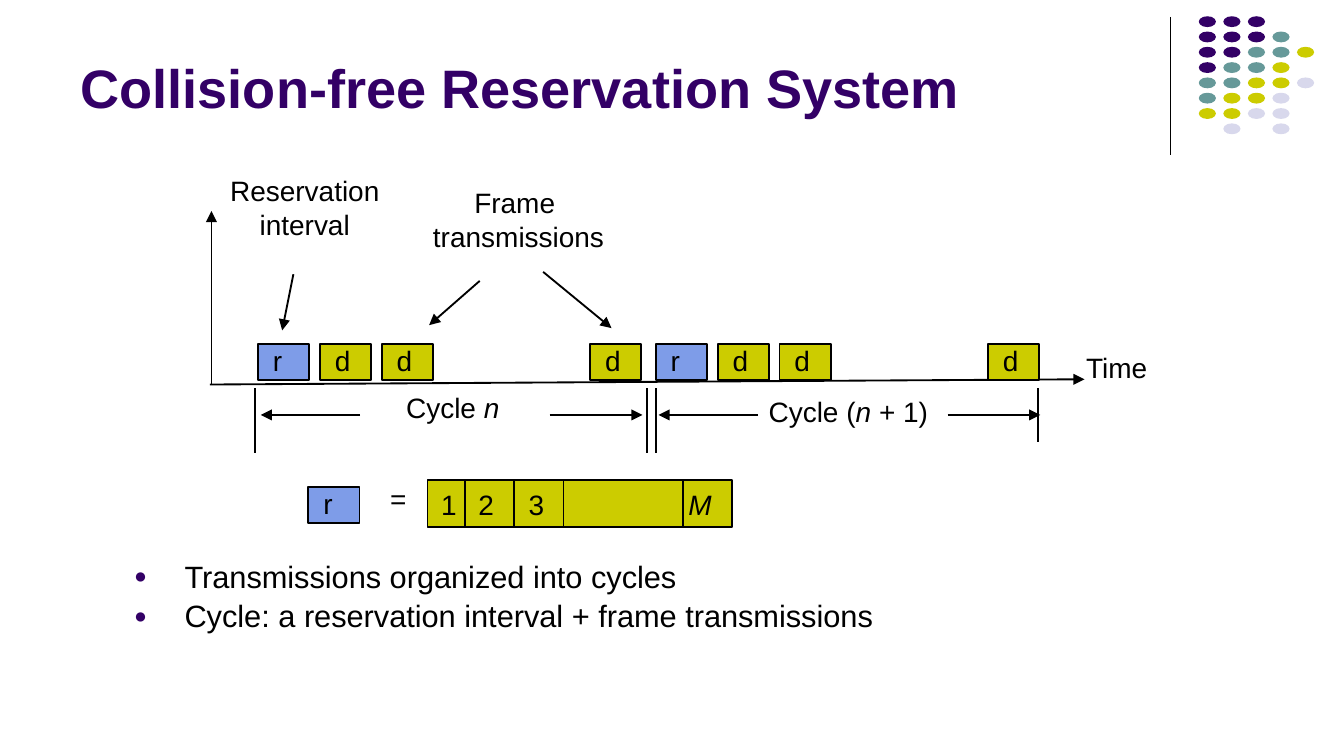
from lxml.etree import SubElement
from pptx import Presentation
from pptx.dml.color import RGBColor
from pptx.enum.shapes import MSO_CONNECTOR, MSO_SHAPE
from pptx.enum.text import MSO_ANCHOR, PP_ALIGN
from pptx.oxml.ns import qn
from pptx.util import Pt

COLORS = {
    "purple": "330066",
    "teal": "669999",
    "olive": "CCCC00",
    "lavender": "D8D8EC",
    "blue": "7E9CE8",
    "black": "000000",
}
RGB = {name: RGBColor.from_string(value) for name, value in COLORS.items()}


def write(tf, text, size=15, color="black", bold=False, align=PP_ALIGN.LEFT,
          anchor=MSO_ANCHOR.TOP, margins=(5, 3, 5, 3), wrap=False, bullet=False):
    tf.word_wrap = wrap
    tf.vertical_anchor = anchor
    tf.margin_left, tf.margin_top, tf.margin_right, tf.margin_bottom = map(Pt, margins)
    for i, row in enumerate(text.split("\n")):
        p = tf.add_paragraph() if i else tf.paragraphs[0]
        p.alignment = align
        if bullet:
            pPr = p._p.get_or_add_pPr()
            pPr.set("marL", str(Pt(27)))
            pPr.set("indent", str(-Pt(27)))
            clr = SubElement(pPr, qn("a:buClr"))
            SubElement(clr, qn("a:srgbClr"), val=COLORS["purple"])
            SubElement(pPr, qn("a:buSzPct"), val="70000")
            SubElement(pPr, qn("a:buFont"), typeface="Arial")
            SubElement(pPr, qn("a:buChar"), char="●")
            p.line_spacing = 0.9
            if i:
                p.space_before = Pt(3.3)
        for j, part in enumerate(row.split("*")):
            if part:
                r = p.add_run()
                r.text = part
                r.font.name = "Arial"
                r.font.size = Pt(size)
                r.font.bold = bold
                r.font.italic = j % 2 == 1
                r.font.color.rgb = RGB[color]


def draw_line(x1, y1, x2, y2, arrow=False, width=1):
    c = s.shapes.add_connector(MSO_CONNECTOR.STRAIGHT, Pt(x1), Pt(y1), Pt(x2), Pt(y2))
    c.line.color.rgb = RGB["black"]
    c.line.width = Pt(width)
    if arrow:
        SubElement(c.line._get_or_add_ln(), qn("a:tailEnd"), type="triangle")
    SubElement(c._element.spPr, qn("a:effectLst"))


prs = Presentation()
prs.slide_width, prs.slide_height = Pt(720), Pt(405)
s = prs.slides.add_slide(prs.slide_layouts[5])

title = s.shapes.title
title.left, title.top, title.width, title.height = Pt(36), Pt(7.2), Pt(594), Pt(60.5)
write(title.text_frame, "Collision-free Reservation System", size=29, color="purple",
      bold=True, anchor=MSO_ANCHOR.BOTTOM, margins=(7.2, 3.6, 7.2, 3.6), wrap=True)

draw_line(627, 9, 627, 83, width=0.75)
dot_colors = {"P": "purple", "T": "teal", "O": "olive", "L": "lavender"}
dot_rows = ["PPP", "PPPT", "PPTTO", "PTTO", "TTOOL", "TOOL", "OOLL", " L L"]
for i, row in enumerate(dot_rows):
    for j, key in enumerate(row):
        if key in dot_colors:
            dot = s.shapes.add_shape(MSO_SHAPE.OVAL, Pt(642.2 + 13.15 * j),
                                     Pt(8.7 + 8.2 * i), Pt(9.2), Pt(5.8))
            dot.shadow.inherit = False
            dot.fill.solid()
            dot.fill.fore_color.rgb = RGB[dot_colors[key]]
            dot.line.fill.background()

draw_line(112.5, 206, 581, 203.2, arrow=True)
draw_line(113.3, 206.3, 113.3, 113, arrow=True)

blocks = [(165.2, 260.7, "r")]
for start in (138.2, 351.3):
    for dx, label in ((0, "r"), (33.2, "d"), (66.3, "d"), (178, "d")):
        blocks.append((start + dx, 184.3, label))
    draw_line(start + 156.3, 222.3, start + 206, 222.3, arrow=True)
    draw_line(start + 54.8, 222.3, start + 1.5, 222.3, arrow=True)
for x, y, label in blocks:
    block = s.shapes.add_shape(MSO_SHAPE.RECTANGLE, Pt(x), Pt(y), Pt(27.4), Pt(19.4))
    block.shadow.inherit = False
    block.fill.solid()
    block.fill.fore_color.rgb = RGB["blue" if label == "r" else "olive"]
    block.line.color.rgb = RGB["black"]
    block.line.width = Pt(1)
    write(block.text_frame, label, margins=(8, 0, 0, 0), wrap=True)

for x, bottom in ((136.8, 242.8), (346.5, 242.8), (351.6, 242.8), (556, 237)):
    draw_line(x, 208, x, bottom)

draw_line(157.2, 146.9, 151.2, 177, arrow=True)
draw_line(257, 150.5, 229.9, 174.2, arrow=True)
draw_line(291, 145.7, 327.6, 175.8, arrow=True)

bar = s.shapes.add_shape(MSO_SHAPE.RECTANGLE, Pt(229), Pt(257.3), Pt(163.4), Pt(25.2))
bar.shadow.inherit = False
bar.fill.solid()
bar.fill.fore_color.rgb = RGB["olive"]
bar.line.color.rgb = RGB["black"]
bar.line.width = Pt(1)
for x in (249.3, 275.6, 301.9, 365.7):
    draw_line(x, 257.5, x, 282.5)

labels = [
    ("Time", 576.9, 184.5, 43.8, PP_ALIGN.LEFT),
    ("Cycle *n", 212.6, 206.2, 61, PP_ALIGN.LEFT),
    ("Cycle (*n *+ 1)", 406.8, 208.3, 97, PP_ALIGN.LEFT),
    ("Reservation\ninterval", 117.3, 90, 92, PP_ALIGN.CENTER),
    ("Frame \ntransmissions", 226, 96.5, 103.6, PP_ALIGN.CENTER),
    ("=", 204, 255, 19.4, PP_ALIGN.LEFT),
    ("1", 231.3, 258, 19.4, PP_ALIGN.LEFT),
    ("2", 251.3, 258, 19.4, PP_ALIGN.LEFT),
    ("3", 278.2, 258, 19.4, PP_ALIGN.LEFT),
    ("*M*", 363.8, 258, 23.6, PP_ALIGN.LEFT),
]
for text, x, y, width, align in labels:
    height = 41.8 if "\n" in text else 23.5
    tb = s.shapes.add_textbox(Pt(x), Pt(y), Pt(width), Pt(height))
    write(tb.text_frame, text, align=align)

tb = s.shapes.add_textbox(Pt(64.8), Pt(297.4), Pt(565.2), Pt(52.6))
write(tb.text_frame,
      "Transmissions organized into cycles\n"
      "Cycle: a reservation interval + frame transmissions",
      size=16.5, margins=(7.2, 3.6, 7.2, 3.6), wrap=True, bullet=True)

prs.save("out.pptx")
